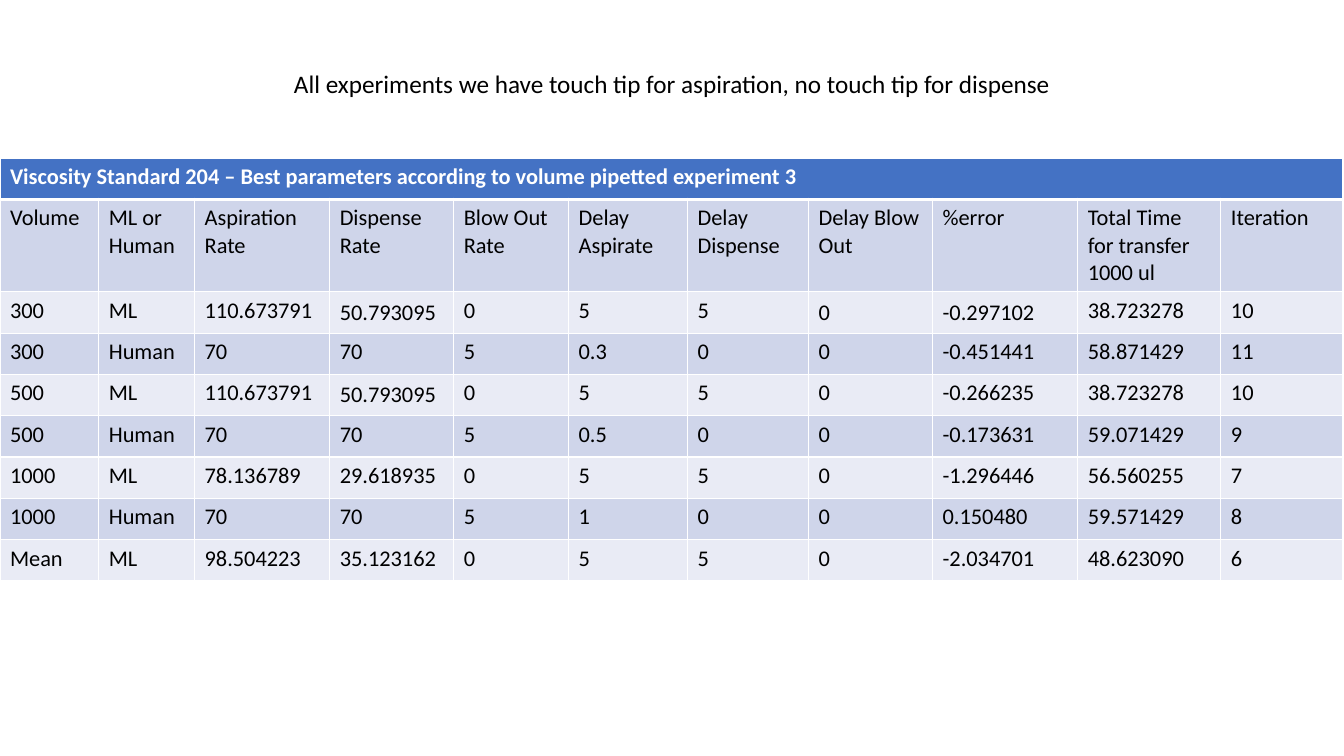
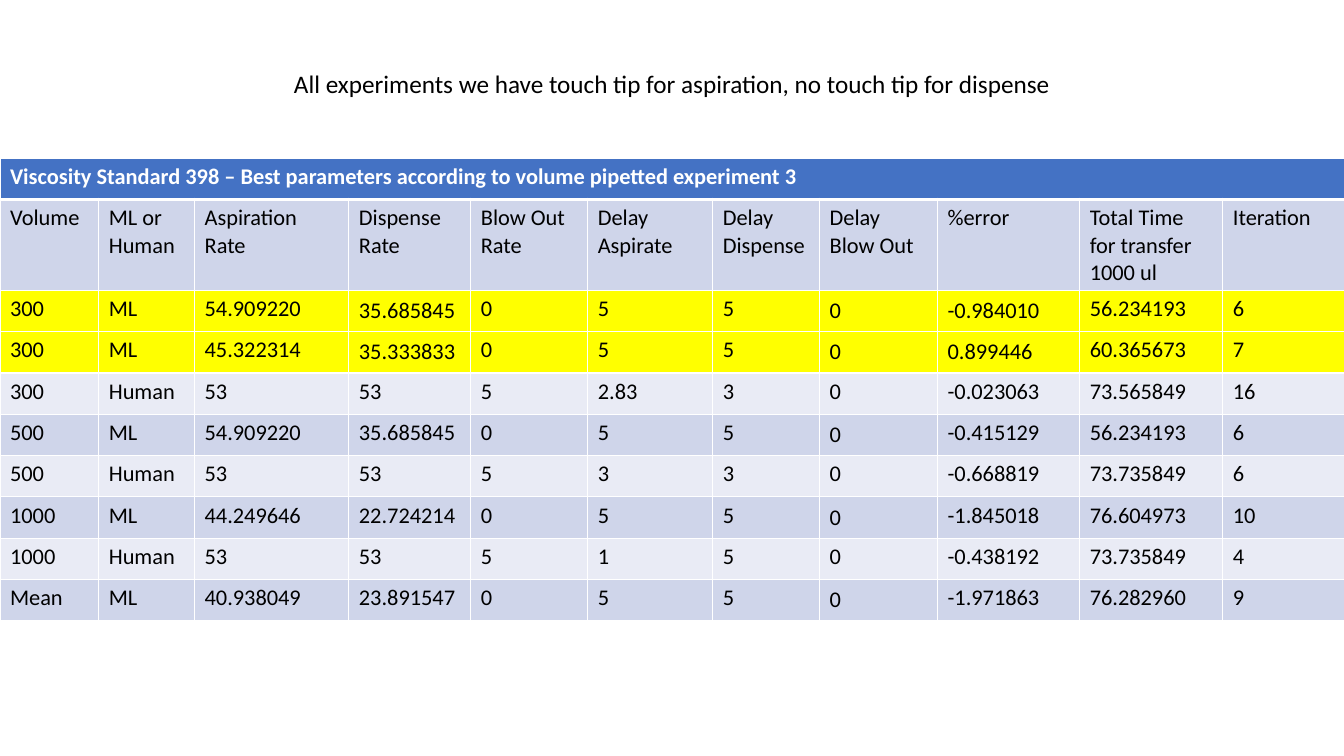
from lxml.etree import SubElement
from pptx import Presentation
from pptx.dml.color import RGBColor
from pptx.enum.text import MSO_ANCHOR, MSO_AUTO_SIZE, PP_ALIGN
from pptx.oxml.ns import qn
from pptx.util import Inches, Pt

WHITE = RGBColor(0xFF, 0xFF, 0xFF)
BLACK = RGBColor(0x00, 0x00, 0x00)
BLUE = RGBColor(0x44, 0x72, 0xC4)
BAND_DARK = RGBColor(0xCF, 0xD5, 0xEA)
BAND_LIGHT = RGBColor(0xE9, 0xEB, 0xF5)
YELLOW = RGBColor(0xFF, 0xFF, 0x00)

NOTE = "All experiments we have touch tip for aspiration, no touch tip for dispense"
TITLE = "Viscosity Standard {} – Best parameters according to volume pipetted experiment 3"
HEADINGS = [
    "Volume", "ML or Human", "Aspiration Rate", "Dispense Rate", "Blow Out Rate",
    "Delay Aspirate", "Delay Dispense", "Delay Blow Out", "%error",
    "Total Time for transfer 1000 ul", "Iteration",
]

EXPERIMENTS = [
    {
        "standard": 204,
        "widths": [0.98, 0.95, 1.34, 1.23, 1.14, 1.18, 1.2, 1.23, 1.44, 1.42, 1.21],
        "results": [
            "300 ML 110.673791 50.793095 0 5 5 0 -0.297102 38.723278 10",
            "300 Human 70 70 5 0.3 0 0 -0.451441 58.871429 11",
            "500 ML 110.673791 50.793095 0 5 5 0 -0.266235 38.723278 10",
            "500 Human 70 70 5 0.5 0 0 -0.173631 59.071429 9",
            "1000 ML 78.136789 29.618935 0 5 5 0 -1.296446 56.560255 7",
            "1000 Human 70 70 5 1 0 0 0.150480 59.571429 8",
            "Mean ML 98.504223 35.123162 0 5 5 0 -2.034701 48.623090 6",
        ],
        "highlighted": (),
        "centred": {2: (3, 7, 8), 4: (3,)},
    },
    {
        "standard": 398,
        "widths": [0.98, 0.95, 1.53, 1.21, 1.16, 1.24, 1.06, 1.17, 1.41, 1.42, 1.21],
        "results": [
            "300 ML 54.909220 35.685845 0 5 5 0 -0.984010 56.234193 6",
            "300 ML 45.322314 35.333833 0 5 5 0 0.899446 60.365673 7",
            "300 Human 53 53 5 2.83 3 0 -0.023063 73.565849 16",
            "500 ML 54.909220 35.685845 0 5 5 0 -0.415129 56.234193 6",
            "500 Human 53 53 5 3 3 0 -0.668819 73.735849 6",
            "1000 ML 44.249646 22.724214 0 5 5 0 -1.845018 76.604973 10",
            "1000 Human 53 53 5 1 5 0 -0.438192 73.735849 4",
            "Mean ML 40.938049 23.891547 0 5 5 0 -1.971863 76.282960 9",
        ],
        "highlighted": (2, 3),
        "centred": {2: (3, 7, 8), 3: (3, 7, 8), 5: (7,), 7: (7,), 9: (7,)},
    },
]


class Deck:
    NOTE_FORMAT = {"name": "Calibri", "size": Pt(18), "bold": False}
    CELL_FORMAT = {"name": "Calibri", "size": Pt(16), "bold": False}
    TITLE_FORMAT = {**CELL_FORMAT, "bold": True}
    ROW_HEIGHT = 0.41
    HEADING_HEIGHT = 0.86

    def __init__(self):
        self.prs = Presentation()
        self.prs.slide_width = Inches(13.33)
        self.prs.slide_height = Inches(7.5)
        self.s = None

    def add_slide(self):
        self.s = self.prs.slides.add_slide(self.prs.slide_layouts[6])

    def add_text(self, p, text, values, color):
        r = p.add_run()
        r.text = text
        for name, value in values.items():
            setattr(r.font, name, value)
        r.font.color.rgb = color

    def note(self, text):
        sp = self.s.shapes.add_textbox(Inches(1.95), Inches(0.63), Inches(9.43), Inches(0.4))
        tf = sp.text_frame
        tf.word_wrap = True
        tf.auto_size = MSO_AUTO_SIZE.SHAPE_TO_FIT_TEXT
        p = tf.paragraphs[0]
        p.alignment = PP_ALIGN.CENTER
        self.add_text(p, text, self.NOTE_FORMAT, BLACK)

    def borders(self, cell, top, bottom):
        tc_pr = cell._tc.get_or_add_tcPr()
        for side, width in {"L": 1, "R": 1, "T": top, "B": bottom}.items():
            ln = SubElement(tc_pr, qn(f"a:ln{side}"), w=str(Pt(width)))
            fill = SubElement(ln, qn("a:solidFill"))
            SubElement(fill, qn("a:srgbClr"), val=str(WHITE))

    def row_fill(self, row, highlighted):
        if row == 0:
            return BLUE
        if row in highlighted:
            return YELLOW
        return BAND_DARK if row % 2 else BAND_LIGHT

    def table(self, standard, widths, results, highlighted, centred):
        title_row = [TITLE.format(standard)] + [""] * (len(widths) - 1)
        rows = [title_row, HEADINGS] + [line.split() for line in results]
        heights = [self.ROW_HEIGHT] * len(rows)
        heights[1] = self.HEADING_HEIGHT
        table = self.s.shapes.add_table(
            len(rows), len(widths), Inches(0), Inches(1.57),
            Inches(sum(widths)), Inches(sum(heights)),
        ).table
        table.first_row = table.horz_banding = False
        for column, width in zip(table.columns, widths):
            column.width = Inches(width)
        for i, (texts, height) in enumerate(zip(rows, heights)):
            table.rows[i].height = Inches(height)
            values, color = (self.CELL_FORMAT, BLACK) if i else (self.TITLE_FORMAT, WHITE)
            for j, text in enumerate(texts):
                cell = table.cell(i, j)
                self.borders(cell, 3 if i == 1 else 1, 3 if i == 0 else 1)
                cell.fill.solid()
                cell.fill.fore_color.rgb = self.row_fill(i, highlighted)
                if j in centred.get(i, ()):
                    cell.vertical_anchor = MSO_ANCHOR.MIDDLE
                if text:
                    self.add_text(cell.text_frame.paragraphs[0], text, values, color)
        table.cell(0, 0).merge(table.cell(0, len(widths) - 1))


def main():
    deck = Deck()
    for experiment in EXPERIMENTS:
        deck.add_slide()
        deck.table(**experiment)
        deck.note(NOTE)
    deck.prs.save("out.pptx")


if __name__ == "__main__":
    main()
